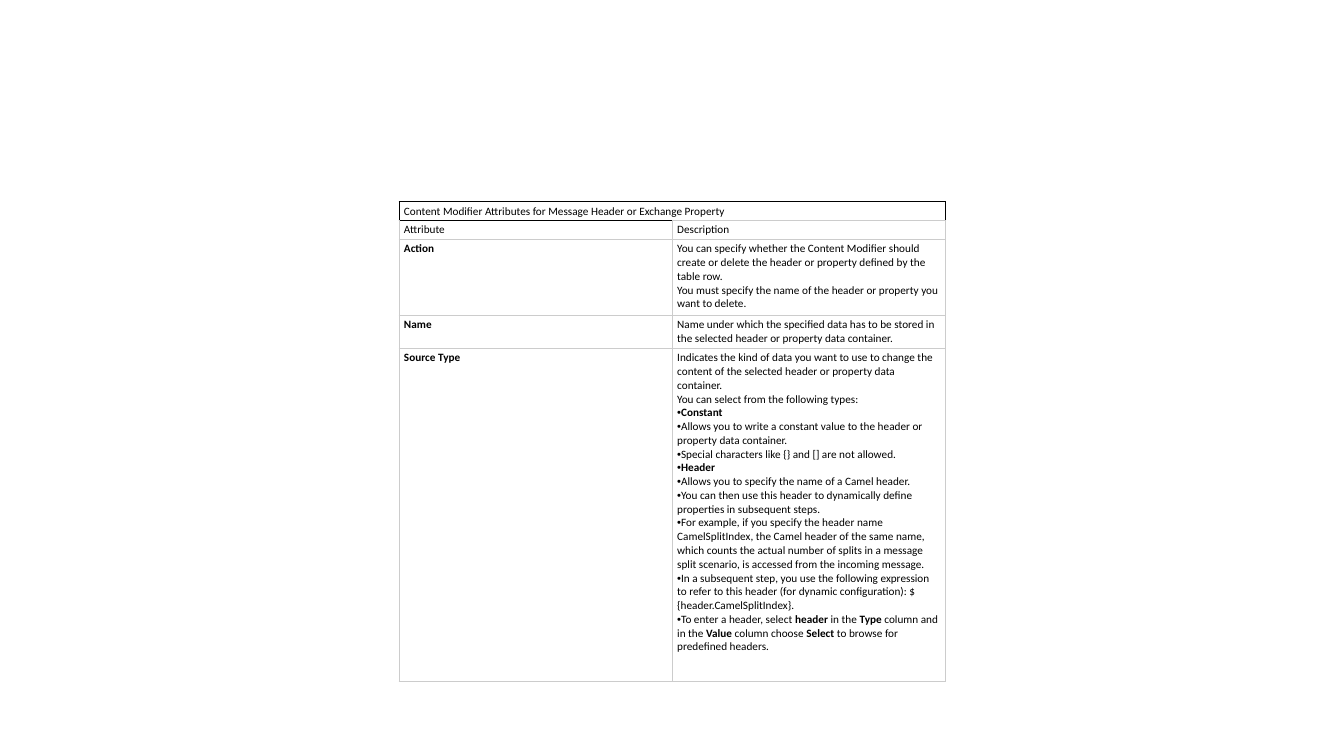
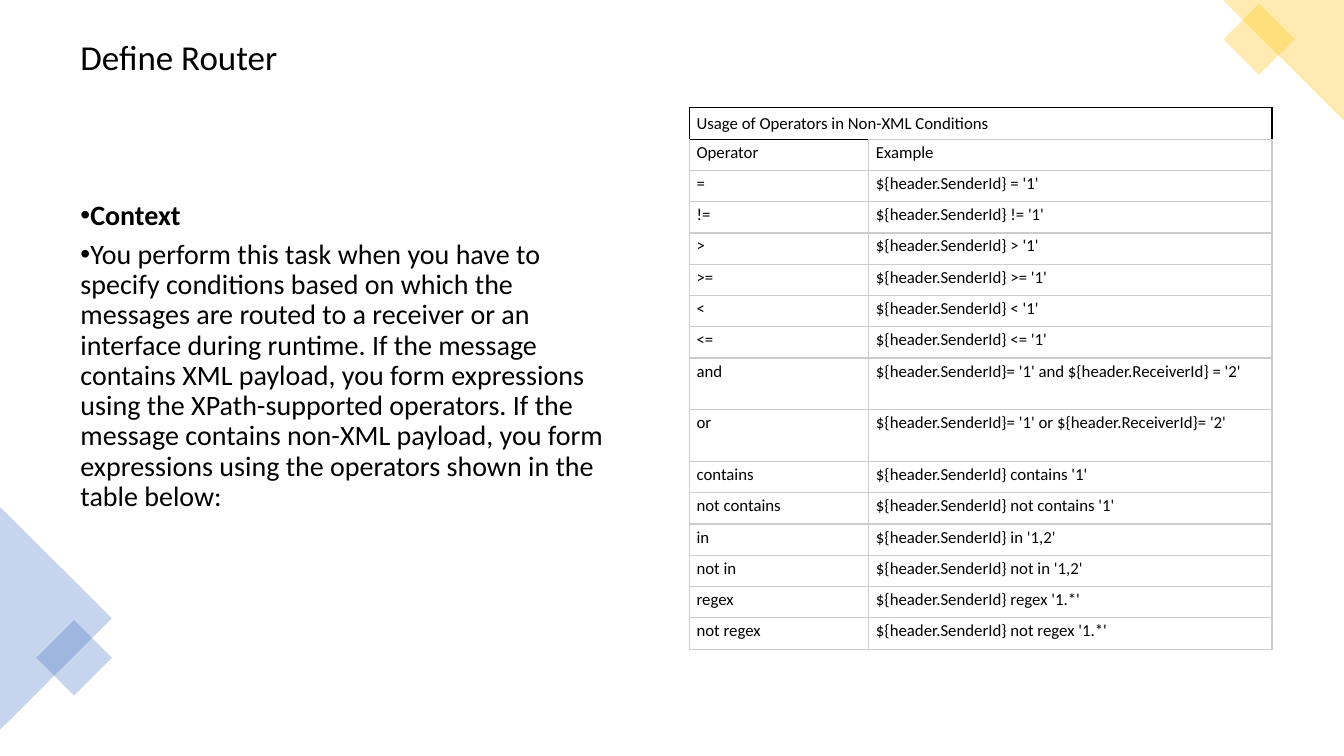
from lxml.etree import SubElement
from pptx import Presentation
from pptx.dml.color import RGBColor
from pptx.enum.shapes import MSO_SHAPE as Shape
from pptx.enum.text import MSO_ANCHOR as Anchor
from pptx.oxml.ns import qn
from pptx.util import Inches, Pt

COLORS = {
    "text": "000000",
    "outline": "000000",
    "grid": "CCCCCC",
    "blue": "4472C4",
    "yellow": "FFC000",
}
FONT = "Calibri"
PLAIN_TABLE = "{2D5ABB26-0587-4C30-8999-92F81FD0307C}"
SIDES = ("L", "R", "T", "B")

MODIFIER_ROWS = [
    (["Attribute"], ["Description"]),
    (["**Action**"], [
        "You can specify whether the Content Modifier should create or delete "
        "the header or property defined by the table row.",
        "You must specify the name of the header or property you want to delete.",
    ]),
    (["**Name**"], [
        "Name under which the specified data has to be stored in the selected "
        "header or property data container.",
    ]),
    (["**Source Type**"], [
        "Indicates the kind of data you want to use to change the content of "
        "the selected header or property data container.",
        "You can select from the following types:",
        "•**Constant**",
        "•Allows you to write a constant value to the header or property data container.",
        "•Special characters like {} and [] are not allowed.",
        "•**Header**",
        "•Allows you to specify the name of a Camel header.",
        "•You can then use this header to dynamically define properties in subsequent steps.",
        "•For example, if you specify the header name CamelSplitIndex, the Camel "
        "header of the same name, which counts the actual number of splits in a "
        "message split scenario, is accessed from the incoming message.",
        "•In a subsequent step, you use the following expression to refer to this "
        "header (for dynamic configuration): ${header.CamelSplitIndex}.",
        "•To enter a header, select **header** in the **Type** column and in the "
        "**Value** column choose **Select** to browse for predefined headers.",
    ]),
]

COMPARISONS = ["=", "!=", ">", ">=", "<", "<="]
COMBINATIONS = [
    ("and", "${header.SenderId}= '1' and ${header.ReceiverId} = '2'"),
    ("or", "${header.SenderId}= '1' or ${header.ReceiverId}= '2'"),
]
MATCHES = [
    ("contains", "1"), ("not contains", "1"),
    ("in", "1,2"), ("not in", "1,2"),
    ("regex", "1.*"), ("not regex", "1.*"),
]

CONTEXT = [
    "•**Context**",
    "•You perform this task when you have to specify conditions based on which "
    "the messages are routed to a receiver or an interface during runtime. If the "
    "message contains XML payload, you form expressions using the XPath-supported "
    "operators. If the message contains non-XML payload, you form expressions "
    "using the operators shown in the table below:",
]


class Deck:
    """Holds the style and the current slide; lengths are percentages of its size."""

    def __init__(self):
        self.presentation = Presentation()
        self.presentation.slide_width = Inches(13.33)
        self.presentation.slide_height = Inches(7.5)
        self.slide = None

    def add_slide(self):
        self.slide = self.presentation.slides.add_slide(self.presentation.slide_layouts[6])

    def across(self, share):
        return round(self.presentation.slide_width * share / 100)

    def down(self, share):
        return round(self.presentation.slide_height * share / 100)

    def box(self, left, top, width, height):
        return self.across(left), self.down(top), self.across(width), self.down(height)

    def set_lines(self, text_frame, lines, size, line_spacing=None, space_after=None):
        text_frame.word_wrap = True
        for index, line in enumerate(lines):
            paragraph = text_frame.add_paragraph() if index else text_frame.paragraphs[0]
            if line.startswith("•"):
                properties = paragraph._p.get_or_add_pPr()
                properties.set("marL", "0")
                properties.set("indent", "0")
                SubElement(properties, qn("a:buFont"), typeface="Arial")
                SubElement(properties, qn("a:buChar"), char="•")
            paragraph.line_spacing = line_spacing
            paragraph.space_after = space_after
            for position, part in enumerate(line.lstrip("•").split("**")):
                if part:
                    run = paragraph.add_run()
                    run.text = part
                    run.font.name = FONT
                    run.font.size = Pt(size)
                    run.font.bold = position % 2 == 1
                    run.font.color.rgb = RGBColor.from_string(COLORS["text"])

    def text(self, area, lines, size, space_after=None):
        shape = self.slide.shapes.add_textbox(*self.box(*area))
        self.set_lines(shape.text_frame, lines, size, 0.9, space_after)

    def ornament(self, kind, area, rotation, color, tip=None):
        shape = self.slide.shapes.add_shape(kind, *self.box(*area))
        shape.shadow.inherit = False
        shape.rotation = rotation
        if tip is not None:
            shape.adjustments[0] = tip
        shape.fill.solid()
        shape.fill.fore_color.rgb = RGBColor.from_string(COLORS[color])
        color_element = shape._element.spPr.find(qn("a:solidFill"))[0]
        SubElement(color_element, qn("a:alpha"), val="30000")
        shape.line.fill.background()

    def corner(self, color, triangle, rotation, tip, square):
        self.ornament(Shape.ISOSCELES_TRIANGLE, triangle, rotation, color, tip)
        self.ornament(Shape.RECTANGLE, square, 45, color)

    def borders(self, cell, color, sides):
        properties = cell._tc.get_or_add_tcPr()
        for side in sides:
            line = SubElement(properties, qn(f"a:ln{side}"), w=str(Pt(1)))
            fill = SubElement(line, qn("a:solidFill"))
            SubElement(fill, qn("a:srgbClr"), val=COLORS[color])

    def table(self, left, top, columns, heights, heading, rows, size, margins):
        area = self.box(left, top, sum(columns), sum(heights))
        table = self.slide.shapes.add_table(len(heights), len(columns), *area).table
        table.first_row = table.horz_banding = False
        table._tbl.tblPr.find(qn("a:tableStyleId")).text = PLAIN_TABLE
        for column, width in zip(table.columns, columns):
            column.width = self.across(width)
        for row, height in zip(table.rows, heights):
            row.height = self.down(height)
        table.cell(0, 0).merge(table.cell(0, len(columns) - 1))
        contents = [([heading], [])] + rows
        for row_index, row in enumerate(contents):
            for column_index, lines in enumerate(row):
                cell = table.cell(row_index, column_index)
                cell.margin_left = cell.margin_right = self.across(margins[0])
                cell.margin_top = cell.margin_bottom = self.down(margins[1])
                cell.vertical_anchor = Anchor.TOP if row_index else Anchor.MIDDLE
                below_heading = (row_index, column_index) == (1, 0)
                sides = ("L", "R", "B") if below_heading else SIDES
                self.borders(cell, "grid" if row_index else "outline", sides)
                cell.fill.background()
                self.set_lines(cell.text_frame, lines, size)


def modifier_slide(deck):
    deck.add_slide()
    deck.table(29.7, 26.67, [20.33] * 2, [2.53, 2.53, 10, 4.4, 44],
               "Content Modifier Attributes for Message Header or Exchange Property",
               MODIFIER_ROWS, 8, (0.36, 0.3))


def router_slide(deck):
    deck.add_slide()
    deck.text((5.25, 4.67, 40.8, 16.53), ["Define Router"], 25)
    deck.text((5.25, 26, 40.8, 64.13), CONTEXT, 20, Pt(6))
    deck.corner("blue", (-4.13, 74.4, 16.58, 14.8), 90, 0.5, (3.53, 83.47, 3.98, 7.07))
    deck.corner("yellow", (91, 0, 9, 16), 270, 1, (91.8, 1.87, 3.75, 6.67))
    examples = [("Operator", "Example")]
    examples += [(sign, f"${{header.SenderId}} {sign} '1'") for sign in COMPARISONS]
    examples += COMBINATIONS
    examples += [(word, f"${{header.SenderId}} {word} '{value}'") for word, value in MATCHES]
    rows = [([operator], [example]) for operator, example in examples]
    heights = [4.14] + [6.85 if pair in COMBINATIONS else 4.14 for pair in examples]
    deck.table(51.3, 14.27, [13.35, 30], heights,
               "Usage of Operators in Non-XML Conditions", rows, 12, (0.53, 0.4))


def main():
    deck = Deck()
    modifier_slide(deck)
    router_slide(deck)
    deck.presentation.save("out.pptx")


if __name__ == "__main__":
    main()
